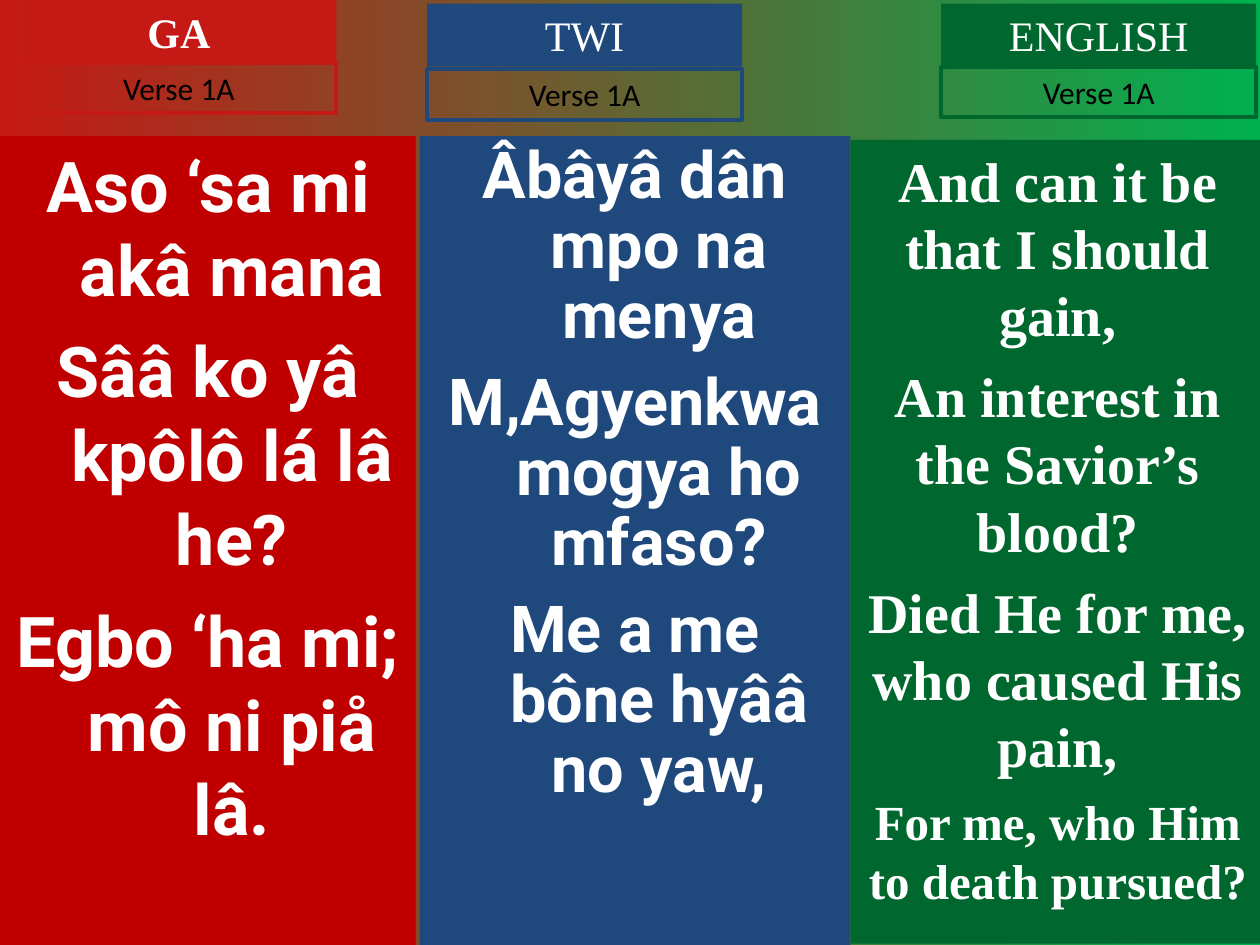
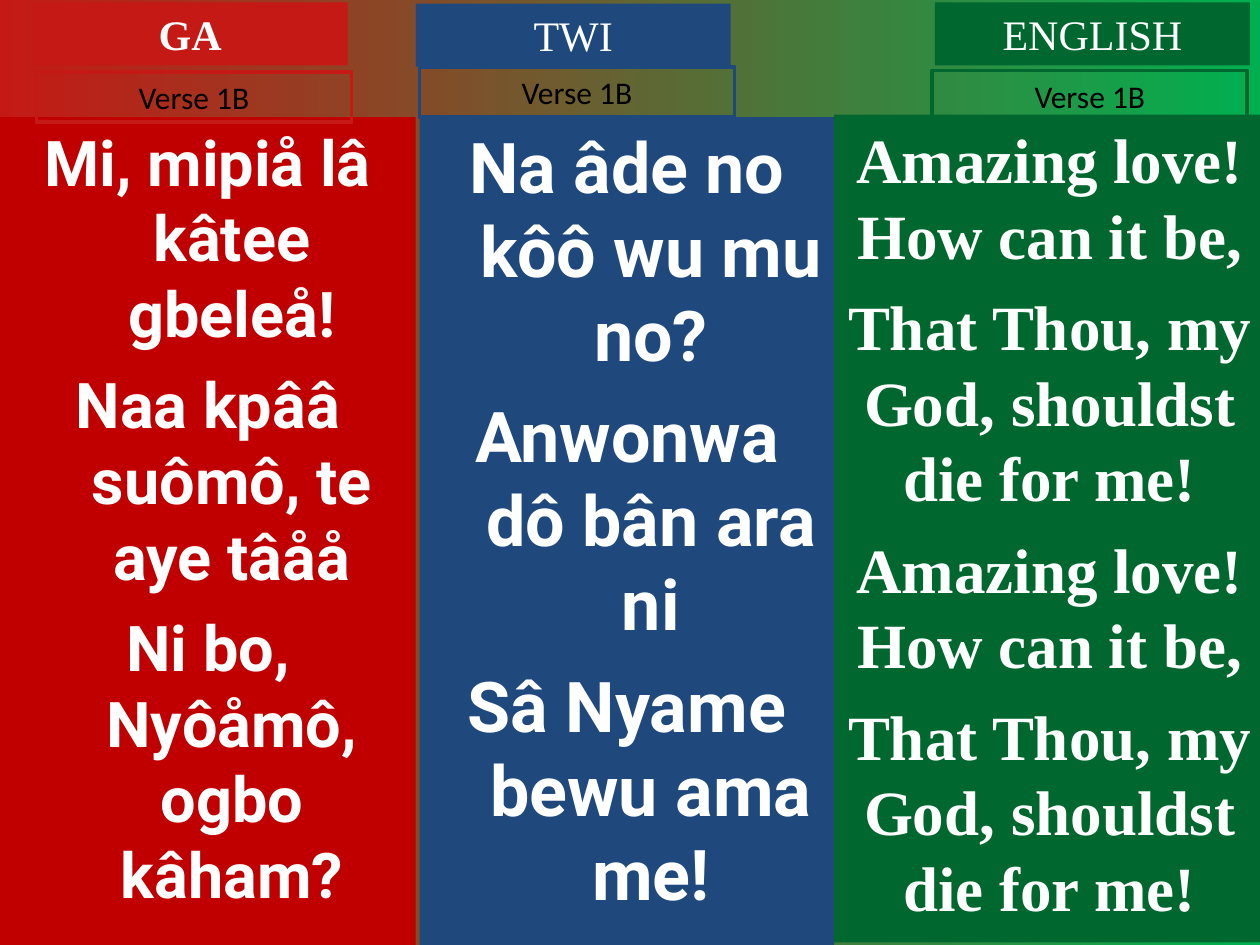
"""Builds the trilingual hymn slides for verses 1A and 1B."""
from dataclasses import dataclass

import pptx
import pptx.dml.color
import pptx.enum.shapes
import pptx.enum.text
import pptx.util

Inches = pptx.util.Inches
Pt = pptx.util.Pt
RGB = pptx.dml.color.RGBColor.from_string


@dataclass(frozen=True)
class Theme:
    red: str = "C51915"
    deep_red: str = "C00000"
    blue: str = "1F497D"
    green: str = "00682F"
    bright_green: str = "00B050"
    white: str = "FFFFFF"
    black: str = "000000"
    serif: str = "Times New Roman"
    sans: str = "Calibri"
    lyric: str = "Roboto"
    title_size: int = 24
    verse_size: int = 18
    border: float = 2.25
    label_width: float = 2.5
    title_height: float = 0.5
    verse_height: float = 0.4
    hanging: float = 0.38


THEME = Theme()

LANGUAGES = {
    "GA": dict(panel=THEME.deep_red, label=THEME.red, font=THEME.lyric, hanging=True, bold=True),
    "TWI": dict(panel=THEME.blue, label=THEME.blue, font=THEME.lyric, hanging=True, bold=False),
    "ENGLISH": dict(panel=THEME.green, label=THEME.green, font=THEME.serif, hanging=False, bold=False),
}

VERSES = {
    "Verse 1A": {
        "GA": dict(
            panel=(0, 1.08, 3.3, 6.42), title=(0.17, 0), verse=(0.17, 0.5), size=40, gap=10,
            lines=["Aso ‘sa mi akâ mana", "Sââ ko yâ kpôlô lá lâ he?", "Egbo ‘ha mi; mô ni piå lâ."]),
        "TWI": dict(
            panel=(3.33, 1.08, 3.42, 6.42), title=(3.39, 0.03), verse=(3.39, 0.55), size=37, gap=10,
            spacing=0.9,
            lines=["Âbâyâ dân mpo na menya", "M,Agyenkwa mogya ho mfaso?", "Me a me bône hyââ no yaw,"]),
        "ENGLISH": dict(
            panel=(6.75, 1.11, 3.29, 6.38), title=(7.47, 0.03), verse=(7.47, 0.53), size=32, gap=8,
            last=(28, 7),
            lines=["And can it be that I should gain,", "An interest in the Savior’s blood?",
                   "Died He for me, who caused His pain,", "For me, who Him to death pursued?"]),
    },
    "Verse 1B": {
        "GA": dict(
            panel=(0, 0.93, 3.3, 6.57), title=(0.26, 0.02), verse=(0.29, 0.57), size=36, gap=9,
            lines=["Mi, mipiå lâ kâtee gbeleå!", "Naa kpââ suômô, te aye tâåå",
                   "Ni bo, Nyôåmô, ogbo kâham?"]),
        "TWI": dict(
            panel=(3.33, 0.93, 3.29, 6.57), title=(3.3, 0.03), verse=(3.33, 0.53), size=40, gap=10,
            lines=["Na âde no kôô wu mu no?", "Anwonwa dô bân ara ni", "Sâ Nyame bewu ama me!"]),
        "ENGLISH": dict(
            panel=(6.62, 0.91, 3.42, 6.57), title=(7.42, 0.02), verse=(7.4, 0.56), size=36, gap=9,
            lines=["Amazing love! How can it be,", "That Thou, my God, shouldst die for me!"] * 2),
    },
}


class HymnDeck:
    def __init__(self, theme):
        self.theme = theme
        self.prs = pptx.Presentation()
        self.prs.slide_width, self.prs.slide_height = Inches(10), Inches(7.5)
        self.s = None

    def add_slide(self):
        self.s = self.prs.slides.add_slide(self.prs.slide_layouts[6])
        fill = self.s.background.fill
        fill.gradient()
        fill.gradient_angle = 0
        ends = (self.theme.red, self.theme.bright_green)
        for stop, position, color in zip(fill.gradient_stops, (0, 1), ends):
            stop.position = position
            stop.color.rgb = RGB(color)

    def box(self, box, fill=None, line=None):
        sp = self.s.shapes.add_shape(
            pptx.enum.shapes.MSO_SHAPE.RECTANGLE, *(Inches(v) for v in box))
        sp.shadow.inherit = False
        if fill:
            sp.fill.solid()
            sp.fill.fore_color.rgb = RGB(fill)
        else:
            sp.fill.background()
        if line:
            sp.line.color.rgb = RGB(line)
            sp.line.width = Pt(self.theme.border)
        else:
            sp.line.fill.background()
        tf = sp.text_frame
        tf.word_wrap = True
        tf.vertical_anchor = pptx.enum.text.MSO_ANCHOR.TOP
        return tf

    def style_text(self, p, text, font, size, color, bold=False):
        p.text = text
        p.alignment = pptx.enum.text.PP_ALIGN.CENTER
        p.font.name = font
        p.font.size = Pt(size)
        p.font.bold = bold
        p.font.color.rgb = RGB(color)

    def title(self, at, text, color, bold):
        t = self.theme
        tf = self.box((*at, t.label_width, t.title_height), fill=color)
        tf.auto_size = pptx.enum.text.MSO_AUTO_SIZE.SHAPE_TO_FIT_TEXT
        self.style_text(tf.paragraphs[0], text, t.serif, t.title_size, t.white, bold)

    def verse(self, at, text, color):
        t = self.theme
        tf = self.box((*at, t.label_width, t.verse_height), line=color)
        tf.auto_size = pptx.enum.text.MSO_AUTO_SIZE.SHAPE_TO_FIT_TEXT
        self.style_text(tf.paragraphs[0], text, t.sans, t.verse_size, t.black)

    def lyrics(self, box, lines, color, font, size, gap, hanging, spacing=None, last=None):
        tf = self.box(box, fill=color)
        for i, line in enumerate(lines):
            p = tf.paragraphs[0] if i == 0 else tf.add_paragraph()
            if last and i == len(lines) - 1:
                size, gap = last
            if hanging:
                indent = Inches(self.theme.hanging)
                pPr = p._p.get_or_add_pPr()
                pPr.set("marL", str(indent))
                pPr.set("indent", str(-indent))
            self.style_text(p, line, font, size, self.theme.white, bold=True)
            if spacing:
                p.line_spacing = spacing
            if i:
                p.space_before = Pt(gap)

    def column(self, language, verse, part):
        look = LANGUAGES[language]
        self.lyrics(part["panel"], part["lines"], look["panel"], look["font"], part["size"],
                    part["gap"], look["hanging"], part.get("spacing"), part.get("last"))
        self.title(part["title"], language, look["label"], look["bold"])
        self.verse(part["verse"], verse, look["label"])


def main():
    deck = HymnDeck(THEME)
    for verse, columns in VERSES.items():
        deck.add_slide()
        for language, part in columns.items():
            deck.column(language, verse, part)
    deck.prs.save("out.pptx")


if __name__ == "__main__":
    main()
